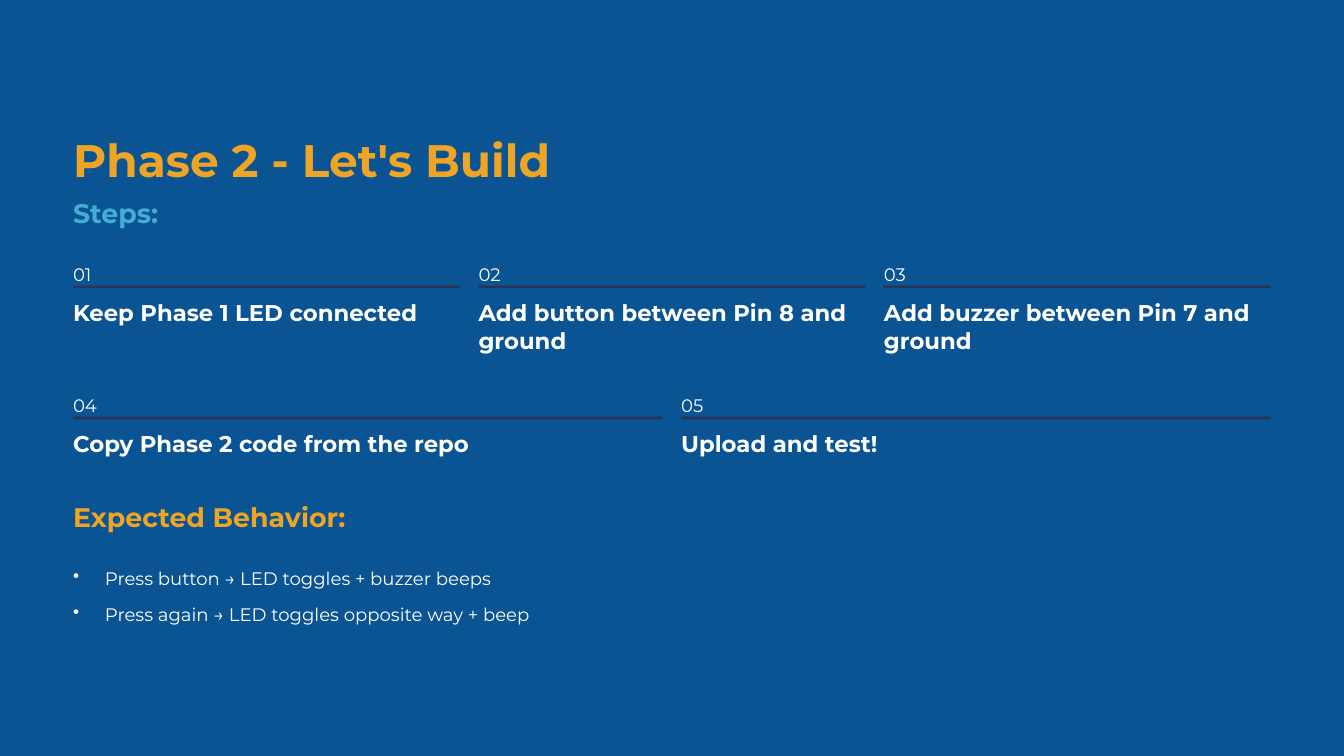
from lxml.etree import SubElement
from pptx import Presentation
from pptx.dml.color import RGBColor
from pptx.enum.shapes import MSO_SHAPE
from pptx.oxml.ns import qn
from pptx.util import Inches, Pt

BLUE, ORANGE, SKY, NAVY, WHITE = "0B5494", "EEA526", "44ADD3", "2C3252", "FFFFFF"
LEFT, WIDTH, GAP = 0.87, 14.26, 0.22

# Text formats: font attributes, colour and line height in points
TITLE = ({"size": Pt(39), "bold": True}, ORANGE, 48.5)
STEPS_HEADING = ({"size": Pt(23), "bold": True}, SKY, 29)
BEHAVIOR_HEADING = ({"size": Pt(23), "bold": True}, ORANGE, 29)
STEP = ({"size": Pt(19.5), "bold": True}, WHITE, 24)
BODY = ({"size": Pt(15.5), "bold": False}, WHITE, 25)

STEP_ROWS = [
    ["Keep Phase 1 LED connected",
     "Add button between Pin 8 and ground",
     "Add buzzer between Pin 7 and ground"],
    ["Copy Phase 2 code from the repo", "Upload and test!"],
]
BEHAVIORS = [
    "Press button → LED toggles + buzzer beeps",
    "Press again → LED toggles opposite way + beep",
]


def paint(color_format, color):
    color_format.rgb = RGBColor.from_string(color)


def add_text(slide, text, left, top, width, height, style, bullet=False):
    font_values, color, line_height = style
    frame = slide.shapes.add_textbox(
        Inches(left), Inches(top), Inches(width), Inches(height)).text_frame
    frame_values = {"word_wrap": True, "margin_left": 0, "margin_top": 0,
                    "margin_right": 0, "margin_bottom": 0}
    for name, value in frame_values.items():
        setattr(frame, name, value)
    paragraph = frame.paragraphs[0]
    paragraph.line_spacing = Pt(line_height)
    if bullet:
        properties = paragraph._p.get_or_add_pPr()
        properties.set("marL", str(Inches(0.38)))
        properties.set("indent", str(-Inches(0.38)))
        SubElement(properties, qn("a:buChar"), char="•")
    run = paragraph.add_run()
    run.text = text
    for name, value in {"name": "Montserrat", **font_values}.items():
        setattr(run.font, name, value)
    paint(run.font.color, color)


def add_step(slide, number, text, left, top, width):
    add_text(slide, f"{number:02d}", left, top, 0.4, 0.27, BODY)
    rule = slide.shapes.add_shape(
        MSO_SHAPE.RECTANGLE, Inches(left), Inches(top + 0.35), Inches(width), Inches(0.03))
    rule.shadow.inherit = False
    rule.fill.solid()
    paint(rule.fill.fore_color, NAVY)
    rule.line.fill.background()
    add_text(slide, text, left, top + 0.5, width, 0.68, STEP)


def add_steps(slide, left, top, width):
    add_text(slide, "Steps:", left, top, width, 0.41, STEPS_HEADING)
    number = 1
    for row, steps in enumerate(STEP_ROWS):
        step_width = (width - GAP * (len(steps) - 1)) / len(steps)
        for column, step in enumerate(steps):
            add_step(slide, number, step, left + column * (step_width + GAP),
                     top + 0.73 + row * 1.56, step_width)
            number += 1


def add_behaviors(slide, left, top, width):
    add_text(slide, "Expected Behavior:", left, top, width, 0.41, BEHAVIOR_HEADING)
    for row, behavior in enumerate(BEHAVIORS):
        add_text(slide, behavior, left, top + 0.73 + row * 0.43, width, 0.35, BODY, bullet=True)


def main():
    deck = Presentation()
    deck.slide_width, deck.slide_height = Inches(16), Inches(9)
    slide = deck.slides.add_slide(deck.slide_layouts[6])

    # Background
    slide.background.fill.solid()
    paint(slide.background.fill.fore_color, BLUE)

    # Title, steps and expected behavior
    add_text(slide, "Phase 2 - Let's Build", LEFT, 1.55, WIDTH, 0.68, TITLE)
    add_steps(slide, LEFT, 2.32, WIDTH)
    add_behaviors(slide, LEFT, 5.94, WIDTH)

    deck.save("out.pptx")


if __name__ == "__main__":
    main()
